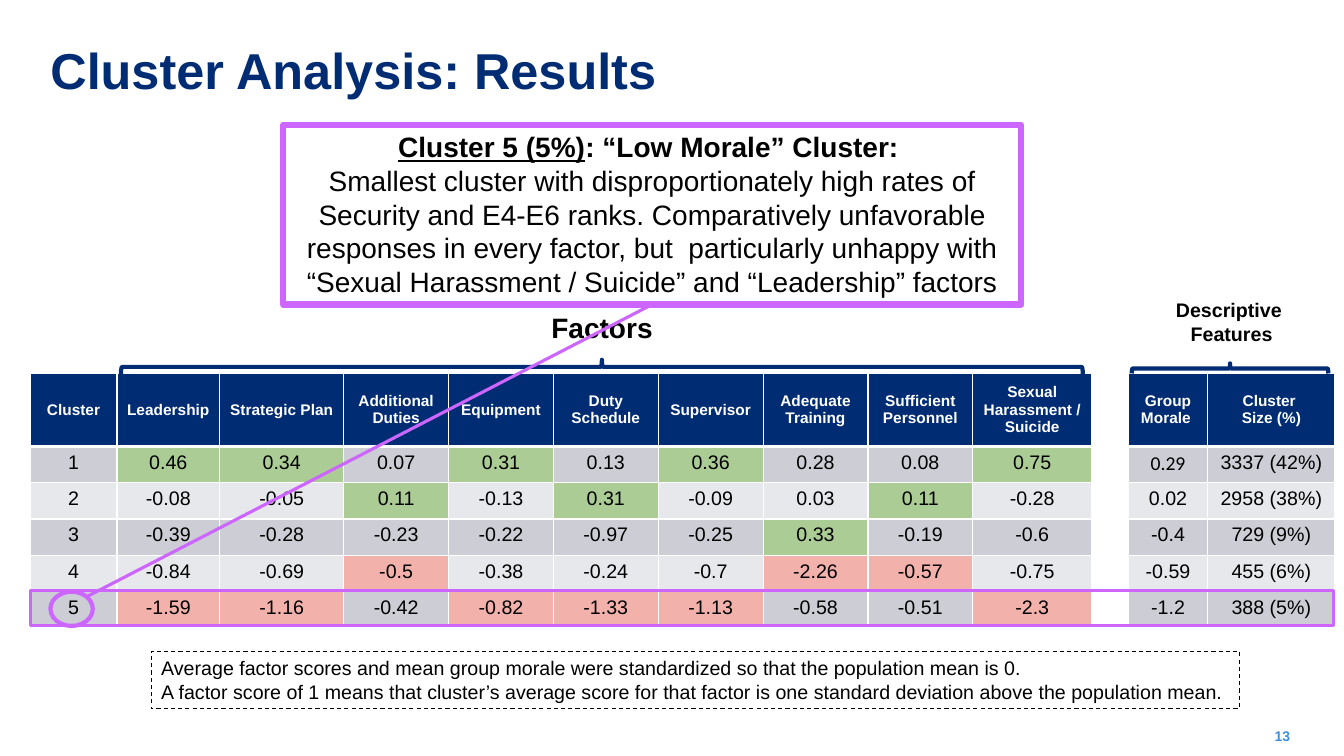
from dataclasses import dataclass

from lxml.etree import SubElement
from pptx import Presentation
from pptx.dml.color import RGBColor
from pptx.enum.dml import MSO_LINE
from pptx.enum.shapes import MSO_CONNECTOR, MSO_SHAPE
from pptx.enum.text import MSO_ANCHOR, PP_ALIGN
from pptx.oxml.ns import qn
from pptx.util import Inches, Pt


@dataclass(frozen=True)
class Theme:
    font: str = "Arial"
    alternate_font: str = "Calibri"
    navy: str = "002C73"
    purple: str = "CC66FF"
    page_blue: str = "3E8EDE"
    black: str = "000000"
    white: str = "FFFFFF"
    bands: tuple[str, str] = ("CCCDD5", "E7E8EB")
    highest: str = "ABCD95"
    lowest: str = "F3B1AC"
    title_size: int = 36
    callout_size: int = 20
    body_size: int = 14
    header_size: int = 11
    page_size: int = 10


THEME = Theme()


@dataclass(frozen=True)
class Box:
    left: float
    top: float
    width: float
    height: float

    def lengths(self) -> tuple:
        return tuple(map(Inches, (self.left, self.top, self.width, self.height)))


@dataclass(frozen=True)
class Label:
    box: Box
    text: str
    size: int
    color: str = THEME.black
    align: PP_ALIGN = PP_ALIGN.LEFT
    anchor: MSO_ANCHOR = MSO_ANCHOR.TOP
    inset: bool = True
    line_spacing: float = 1.0


@dataclass(frozen=True)
class Outline:
    box: Box
    kind: MSO_SHAPE
    color: str
    weight: float


@dataclass(frozen=True)
class ScoreTable:
    box: Box
    widths: tuple[float, ...]
    rows: tuple[tuple[str, ...], ...]
    ranked: bool


HEADER_HEIGHT = 0.73
ROW_HEIGHT = 0.36

FACTORS = ScoreTable(
    Box(0.3, 3.7, 10.51, 2.51),
    (0.86, 1.02, 1.23) + (1.04,) * 6 + (1.18,),
    (
        ("Cluster", "Leadership", "Strategic Plan", "Additional Duties", "Equipment",
         "Duty Schedule", "Supervisor", "Adequate Training", "Sufficient Personnel",
         "Sexual Harassment /Suicide"),
        ("1", "0.46", "0.34", "0.07", "0.31", "0.13", "0.36", "0.28", "0.08", "0.75"),
        ("2", "-0.08", "-0.05", "0.11", "-0.13", "0.31", "-0.09", "0.03", "0.11", "-0.28"),
        ("3", "-0.39", "-0.28", "-0.23", "-0.22", "-0.97", "-0.25", "0.33", "-0.19", "-0.6"),
        ("4", "-0.84", "-0.69", "-0.5", "-0.38", "-0.24", "-0.7", "-2.26", "-0.57", "-0.75"),
        ("5", "-1.59", "-1.16", "-0.42", "-0.82", "-1.33", "-1.13", "-0.58", "-0.51", "-2.3"),
    ),
    True,
)
FEATURES = ScoreTable(
    Box(11.19, 3.7, 2.05, 2.51),
    (0.79, 1.26),
    (
        ("Group Morale ", "Cluster \nSize (%)"),
        ("0.29", "3337 (42%)"),
        ("0.02", "2958 (38%)"),
        ("-0.4", "729 (9%)"),
        ("-0.59", "455 (6%)"),
        ("-1.2", "388 (5%)"),
    ),
    False,
)
LABELS = (
    Label(Box(0.5, 0.46, 12.33, 0.83), "Cluster Analysis: Results", THEME.title_size,
          THEME.navy, inset=False, line_spacing=0.9),
    Label(Box(5.37, 3.03, 1.22, 0.44), "Factors", THEME.callout_size),
    Label(Box(11.32, 2.91, 1.79, 0.57), "Descriptive \nFeatures", THEME.body_size,
          align=PP_ALIGN.CENTER),
    Label(Box(12.51, 7.11, 0.42, 0.39), "13", THEME.page_size, THEME.page_blue,
          PP_ALIGN.CENTER, MSO_ANCHOR.MIDDLE, inset=False),
)
BRACES = (
    Outline(Box(5.9, -1.13, 0.14, 9.54), MSO_SHAPE.RIGHT_BRACE, THEME.navy, 3),
    Outline(Box(12.15, 2.68, 0.1, 1.95), MSO_SHAPE.RIGHT_BRACE, THEME.navy, 3),
)
NOTE = Outline(Box(1.5, 6.46, 10.79, 0.57), MSO_SHAPE.RECTANGLE, THEME.black, 0.75)
NOTE_TEXT = (
    "Average factor scores and mean group morale were standardized so that the population mean is 0.\n"
    "A factor score of 1 means that cluster’s average score for that factor is one standard deviation "
    "above the population mean."
)
CALLOUT = Outline(Box(2.81, 1.24, 7.32, 1.78), MSO_SHAPE.RECTANGLE, THEME.purple, 4.5)
CALLOUT_TEXT = (
    "Cluster 5 (5%)\n"
    "Smallest cluster with disproportionately high rates of Security and E4-E6 ranks. "
    "Comparatively unfavorable responses in every factor, but  particularly unhappy with "
    "“Sexual Harassment / Suicide” and “Leadership” factors"
)
HIGHLIGHTS = (
    Outline(Box(0.3, 5.86, 12.93, 0.35), MSO_SHAPE.RECTANGLE, THEME.purple, 2.25),
    Outline(Box(0.5, 5.87, 0.42, 0.34), MSO_SHAPE.OVAL, THEME.purple, 3),
)


def rgb(color: str) -> RGBColor:
    return RGBColor.from_string(color)


def format_text(frame, size: int, color: str, bold: bool, align: PP_ALIGN) -> None:
    for paragraph in frame.paragraphs:
        paragraph.alignment = align
        for run in paragraph.runs:
            run.font.name = THEME.font
            run.font.size = Pt(size)
            run.font.bold = bold
            run.font.color.rgb = rgb(color)


def add_label(slide, label: Label) -> None:
    frame = slide.shapes.add_textbox(*label.box.lengths()).text_frame
    frame.word_wrap = True
    frame.vertical_anchor = label.anchor
    if not label.inset:
        frame.margin_left = frame.margin_right = frame.margin_top = frame.margin_bottom = 0
    frame.text = label.text
    frame.paragraphs[0].line_spacing = label.line_spacing
    format_text(frame, label.size, label.color, True, label.align)


def add_outline(slide, outline: Outline):
    shape = slide.shapes.add_shape(outline.kind, *outline.box.lengths())
    shape.shadow.inherit = False
    shape.fill.background()
    shape.line.color.rgb = rgb(outline.color)
    shape.line.width = Pt(outline.weight)
    shape.text_frame.vertical_anchor = MSO_ANCHOR.TOP
    return shape


def add_brace(slide, outline: Outline) -> None:
    brace = add_outline(slide, outline)
    brace.adjustments[0] = 0.08
    brace.adjustments[1] = 0.5
    brace.rotation = 90
    brace.element.spPr.find(qn("a:xfrm")).set("flipH", "1")


def add_borders(cell, is_header: bool, is_first_score: bool) -> None:
    weights = {"lnL": 1, "lnR": 1, "lnT": 3 if is_first_score else 1, "lnB": 3 if is_header else 1}
    properties = cell._tc.get_or_add_tcPr()
    for side, weight in weights.items():
        border = SubElement(properties, qn(f"a:{side}"), w=str(Pt(weight)))
        SubElement(SubElement(border, qn("a:solidFill")), qn("a:srgbClr"), val=THEME.white)


def cell_color(scores: ScoreTable, row: int, column: int) -> str:
    if row == 0:
        return THEME.navy
    if scores.ranked and column > 0:
        values = [float(line[column]) for line in scores.rows[1:]]
        if values[row - 1] == max(values):
            return THEME.highest
        if values[row - 1] == min(values):
            return THEME.lowest
    return THEME.bands[(row - 1) % 2]


def add_scores(slide, scores: ScoreTable):
    table = slide.shapes.add_table(len(scores.rows), len(scores.widths), *scores.box.lengths()).table
    for column, width in zip(table.columns, scores.widths):
        column.width = Inches(width)
    for row, line in enumerate(scores.rows):
        is_header = row == 0
        table.rows[row].height = Inches(HEADER_HEIGHT if is_header else ROW_HEIGHT)
        for column, text in enumerate(line):
            cell = table.cell(row, column)
            add_borders(cell, is_header, row == 1)
            cell.fill.solid()
            cell.fill.fore_color.rgb = rgb(cell_color(scores, row, column))
            cell.vertical_anchor = MSO_ANCHOR.MIDDLE if is_header else MSO_ANCHOR.TOP
            cell.text_frame.text = text
            size, color = (THEME.header_size, THEME.white) if is_header else (THEME.body_size, THEME.black)
            format_text(cell.text_frame, size, color, is_header, PP_ALIGN.CENTER)
    return table


def add_note(slide) -> None:
    note = add_outline(slide, NOTE)
    note.line.dash_style = MSO_LINE.DASH
    note.text_frame.text = NOTE_TEXT
    format_text(note.text_frame, THEME.body_size, THEME.black, False, PP_ALIGN.LEFT)


def add_callout(slide) -> None:
    callout = add_outline(slide, CALLOUT)
    callout.fill.solid()
    callout.fill.fore_color.rgb = rgb(THEME.white)
    frame = callout.text_frame
    frame.text = CALLOUT_TEXT
    heading = frame.paragraphs[0]
    heading.add_run().text = ": “Low Morale” Cluster: "
    format_text(frame, THEME.callout_size, THEME.black, False, PP_ALIGN.CENTER)
    for run in heading.runs:
        run.font.bold = True
    heading.runs[0].font.underline = True


def add_pointer(slide) -> None:
    ends = map(Inches, (6.47, 3.02, 0.86, 5.92))
    pointer = slide.shapes.add_connector(MSO_CONNECTOR.STRAIGHT, *ends)
    pointer.line.color.rgb = rgb(THEME.purple)
    pointer.line.width = Pt(2.25)
    SubElement(pointer.element.spPr, qn("a:effectLst"))


def main() -> None:
    presentation = Presentation()
    presentation.slide_width, presentation.slide_height = Inches(13.33), Inches(7.5)
    slide = presentation.slides.add_slide(presentation.slide_layouts[6])
    features = add_scores(slide, FEATURES)
    features.cell(1, 0).text_frame.paragraphs[0].runs[0].font.name = THEME.alternate_font
    add_scores(slide, FACTORS)
    for label in LABELS:
        add_label(slide, label)
    for brace in BRACES:
        add_brace(slide, brace)
    add_note(slide)
    add_callout(slide)
    for highlight in HIGHLIGHTS:
        add_outline(slide, highlight)
    add_pointer(slide)
    presentation.save("out.pptx")


if __name__ == "__main__":
    main()
